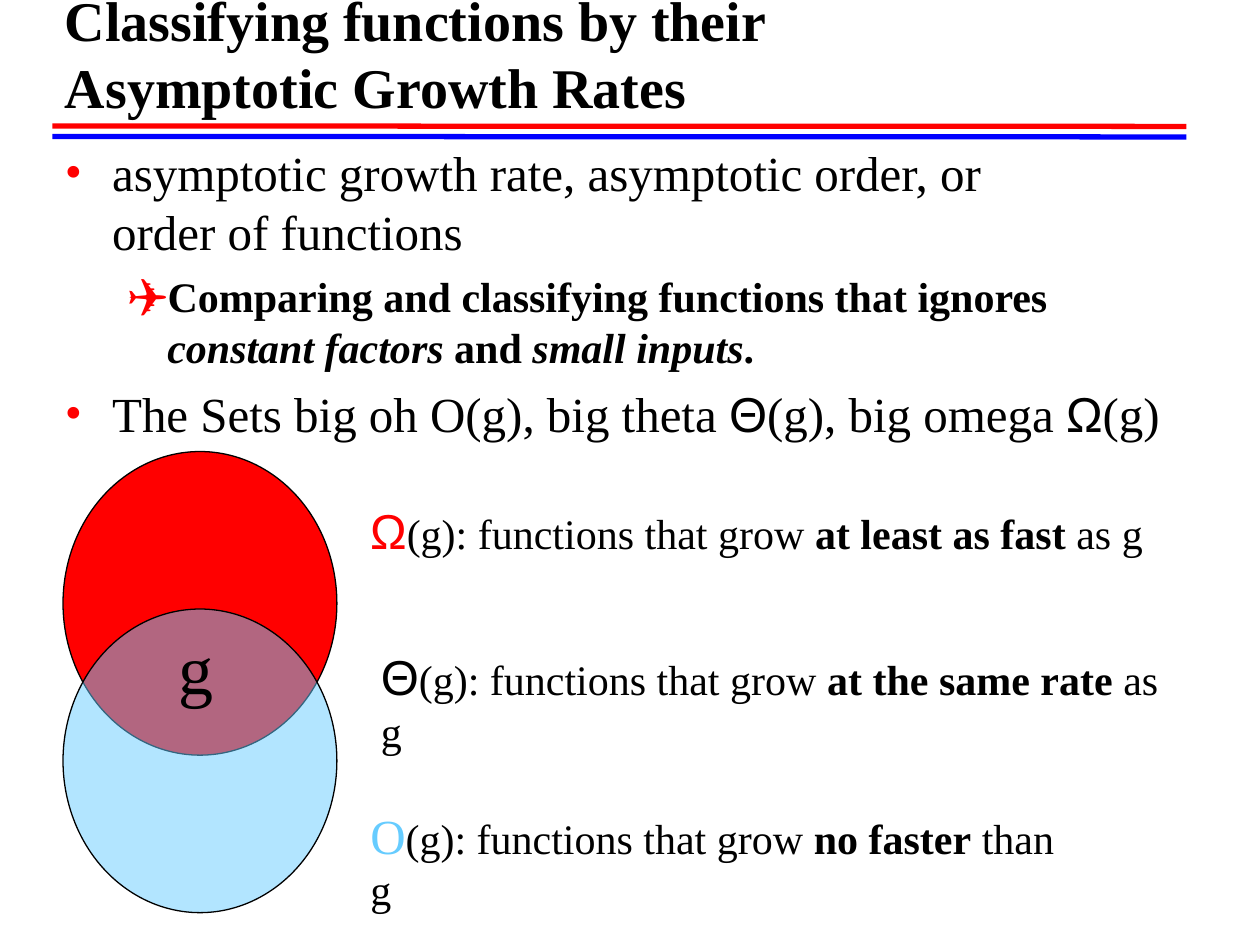
from lxml import etree
from pptx import Presentation
from pptx import util as u
from pptx.dml.color import RGBColor
from pptx.enum import shapes, text
from pptx.oxml.ns import qn

COLORS = {"black": "000000", "red": "FF0000", "blue": "0000FF", "sky": "66CCFF"}
SERIF, SANS = "Times New Roman", "Arial"


def rgb(name):
    return RGBColor.from_string(COLORS[name])


def add_run(paragraph, words, size=24, font=SERIF, color="black", bold=False, italic=False):
    # A newline in the words becomes a line break
    for number, line in enumerate(words.split("\n")):
        if number:
            paragraph.add_line_break()
        run = paragraph.add_run()
        run.text = line
        run.font.size, run.font.name = u.Pt(size), font
        run.font.bold, run.font.italic = bold, italic
        run.font.color.rgb = rgb(color)


class SlideBuilder:
    def __init__(self, slide):
        self.slide = slide

    def rule(self, left, top, right, bottom, color):
        line = self.slide.shapes.add_connector(
            shapes.MSO_CONNECTOR.STRAIGHT, u.Pt(left), u.Pt(top), u.Pt(right), u.Pt(bottom))
        line.line.color.rgb = rgb(color)
        line.line.width = u.Pt(3)
        etree.SubElement(line._element.spPr, qn("a:effectLst"))

    def ellipse(self, left, top, width, height, color, alpha=None):
        shape = self.slide.shapes.add_shape(
            shapes.MSO_SHAPE.OVAL, u.Pt(left), u.Pt(top), u.Pt(width), u.Pt(height))
        shape.shadow.inherit = False
        shape.fill.solid()
        shape.fill.fore_color.rgb = rgb(color)
        shape.line.color.rgb = rgb("black")
        shape.line.width = u.Pt(0.75)
        if alpha:
            fill_color = shape._element.spPr.find(qn("a:solidFill"))[0]
            etree.SubElement(fill_color, qn("a:alpha"), val=str(alpha * 1000))

    def text_box(self, left, top, width, height, wrap=True, anchor=text.MSO_ANCHOR.TOP):
        box = self.slide.shapes.add_textbox(u.Pt(left), u.Pt(top), u.Pt(width), u.Pt(height))
        frame = box.text_frame
        frame.word_wrap = wrap
        frame.vertical_anchor = anchor
        return frame

    def label(self, left, top, width, height, runs, **options):
        frame = self.text_box(left, top, width, height, **options)
        for words, style in runs:
            add_run(frame.paragraphs[0], words, **style)

    def bullets(self, left, top, width, height, items):
        frame = self.text_box(left, top, width, height)
        for number, (level, runs) in enumerate(items):
            paragraph = frame.add_paragraph() if number else frame.paragraphs[0]
            margin, indent, before, mark = BULLET_LEVELS[level]
            paragraph.level = level
            paragraph.space_before = u.Pt(before)
            properties = paragraph._p.get_or_add_pPr()
            properties.set("marL", str(u.Pt(margin)))
            properties.set("indent", str(-u.Pt(indent)))
            bullet_color = etree.SubElement(properties, qn("a:buClr"))
            etree.SubElement(bullet_color, qn("a:srgbClr"), val=COLORS["red"])
            etree.SubElement(properties, qn("a:buFont"), typeface=SERIF)
            etree.SubElement(properties, qn("a:buChar"), char=mark)
            for words, style in runs:
                add_run(paragraph, words, **style)


# Margin, hanging indent, space before, bullet
BULLET_LEVELS = [(27, 27, 7, "•"), (58.5, 22.5, 6, "✈")]
LARGE = {"size": 28}
SYMBOL = {"size": 28, "font": SANS}
BOLD = {"bold": True}
BOLD_ITALIC = {"bold": True, "italic": True}

BODY = [
    (0, [("asymptotic growth rate, asymptotic order, or \norder of functions", LARGE)]),
    (1, [("Comparing and classifying functions that ignores ", BOLD),
         ("constant factors", BOLD_ITALIC), (" and ", BOLD),
         ("small inputs", BOLD_ITALIC), (".", BOLD)]),
    (0, [("The Sets big oh O(g), big theta ", LARGE), ("Θ", SYMBOL),
         ("(g), big omega ", LARGE), ("Ω", SYMBOL), ("(g)", LARGE)]),
]

# Left, top, width, wrap, symbol, its font and colour, growth, ending
LEGEND = [
    (204.5, 282.5, 456.5, False, "Ω", SANS, "red", "at least as fast", " as g"),
    (210.5, 366, 475, True, "Θ", SANS, "black", "at the same rate", " as g"),
    (204.5, 456.5, 422.5, False, "O", SERIF, "sky", "no faster", " than g"),
]


def main():
    presentation = Presentation()
    presentation.slide_width, presentation.slide_height = u.Pt(720), u.Pt(540)
    builder = SlideBuilder(presentation.slides.add_slide(presentation.slide_layouts[6]))

    # Double rule under the title
    builder.rule(30, 78, 678, 78.25, "blue")
    builder.rule(30, 72, 678, 72.25, "red")

    # Title and bullets
    builder.label(30, 18, 648, 54,
                  [("Classifying functions by their\nAsymptotic Growth Rates",
                    {"size": 32, "bold": True})], anchor=text.MSO_ANCHOR.BOTTOM)
    builder.bullets(30, 78, 650, 444, BODY)

    # Overlapping sets
    builder.ellipse(36, 258, 156.5, 173.5, "red")
    builder.ellipse(36, 348, 156.5, 173.5, "sky", alpha=50)
    builder.label(95, 353.5, 34.5, 55.5, [("g", {"size": 40})], wrap=False)

    # Meaning of each set
    for left, top, width, wrap, symbol, font, color, growth, ending in LEGEND:
        builder.label(left, top, width, 41,
                      [(symbol, {"size": 28, "font": font, "color": color}),
                       ("(g): functions that grow ", {}), (growth, BOLD), (ending, {})],
                      wrap=wrap)

    presentation.save("out.pptx")


if __name__ == "__main__":
    main()
